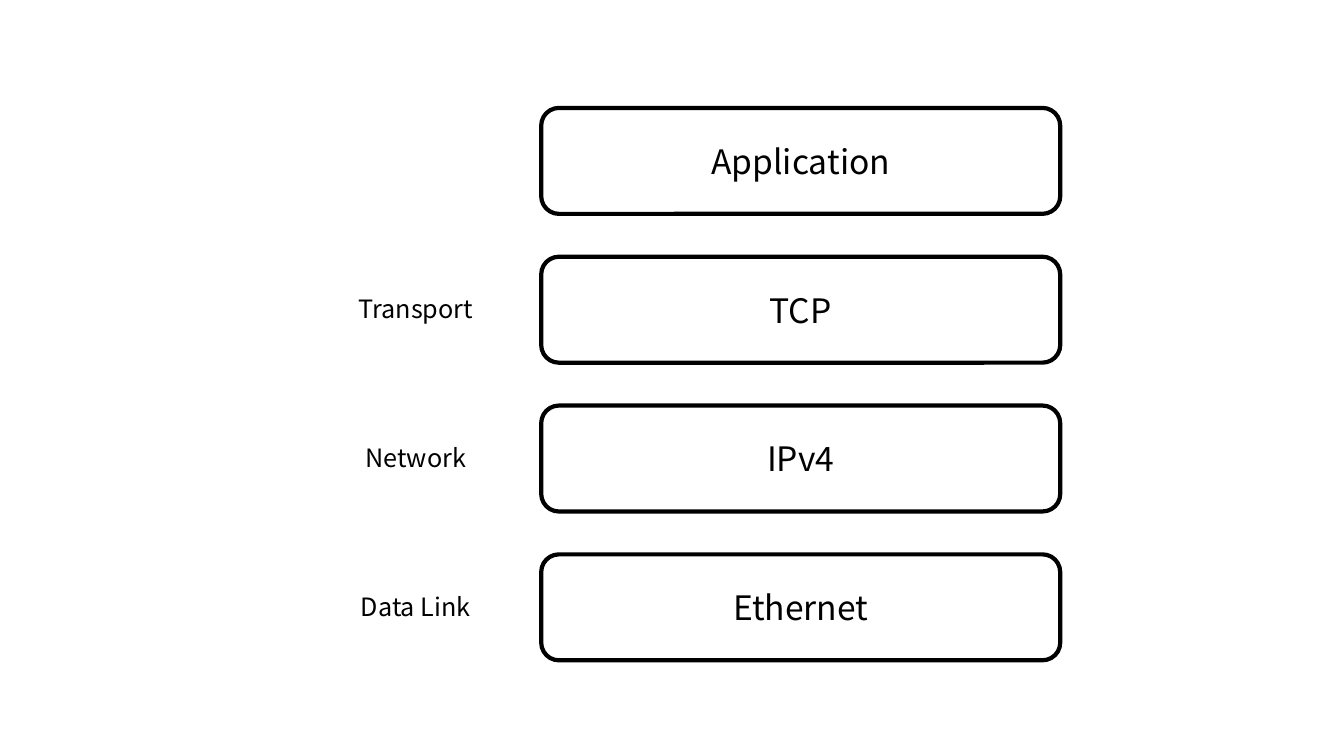
from dataclasses import dataclass

from pptx import Presentation
from pptx.dml.color import RGBColor
from pptx.enum.shapes import MSO_SHAPE
from pptx.enum.text import MSO_ANCHOR, MSO_AUTO_SIZE, PP_ALIGN
from pptx.util import Cm, Pt


@dataclass(frozen=True)
class Theme:
    font: str = "Noto Sans CJK KR"
    ink: RGBColor = RGBColor(0, 0, 0)
    large: Pt = Pt(24)
    small: Pt = Pt(18)
    stroke: Pt = Pt(3)


THEME = Theme()
LAYERS = [
    ("", "Application"),
    ("Transport", "TCP"),
    ("Network", "IPv4"),
    ("Data Link", "Ethernet"),
]
TOP, PITCH = 2.72, 3.75
BOX_LEFT, BOX_WIDTH, BOX_HEIGHT = 13.64, 13.08, 2.67
LABEL_WIDTH, LABEL_HEIGHT, LABEL_DROP = 6.32, 1.02, 0.8


def write(frame, text, size):
    frame.text = text
    frame.word_wrap = True
    line = frame.paragraphs[0]
    line.alignment = PP_ALIGN.CENTER
    font = line.runs[0].font
    font.name = THEME.font
    font.size = size
    font.color.rgb = THEME.ink


def add_box(slide, top, text):
    box = slide.shapes.add_shape(
        MSO_SHAPE.ROUNDED_RECTANGLE,
        Cm(BOX_LEFT), Cm(top), Cm(BOX_WIDTH), Cm(BOX_HEIGHT),
    )
    box.shadow.inherit = False
    box.fill.background()
    box.line.color.rgb = THEME.ink
    box.line.width = THEME.stroke
    box.text_frame.vertical_anchor = MSO_ANCHOR.MIDDLE
    write(box.text_frame, text, THEME.large)


def add_label(slide, top, text):
    label = slide.shapes.add_textbox(
        Cm(BOX_LEFT - LABEL_WIDTH), Cm(top + LABEL_DROP),
        Cm(LABEL_WIDTH), Cm(LABEL_HEIGHT),
    )
    write(label.text_frame, text, THEME.small)
    label.text_frame.auto_size = MSO_AUTO_SIZE.SHAPE_TO_FIT_TEXT


def main():
    deck = Presentation()
    deck.slide_width, deck.slide_height = Cm(33.87), Cm(19.05)
    slide = deck.slides.add_slide(deck.slide_layouts[6])
    for row, (label, name) in enumerate(LAYERS):
        top = TOP + row * PITCH
        add_box(slide, top, name)
        if label:
            add_label(slide, top, label)
    deck.save("out.pptx")


main()
